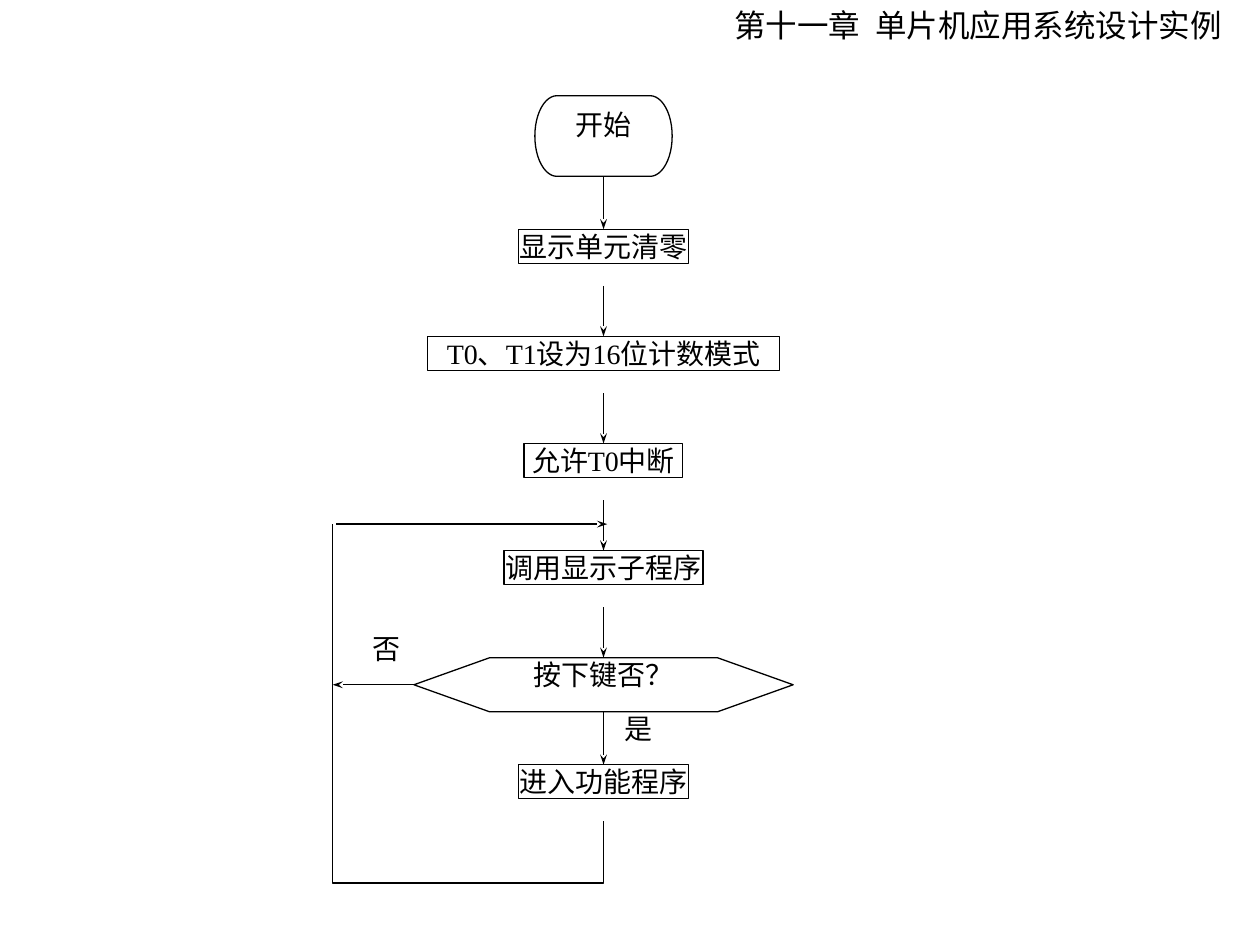
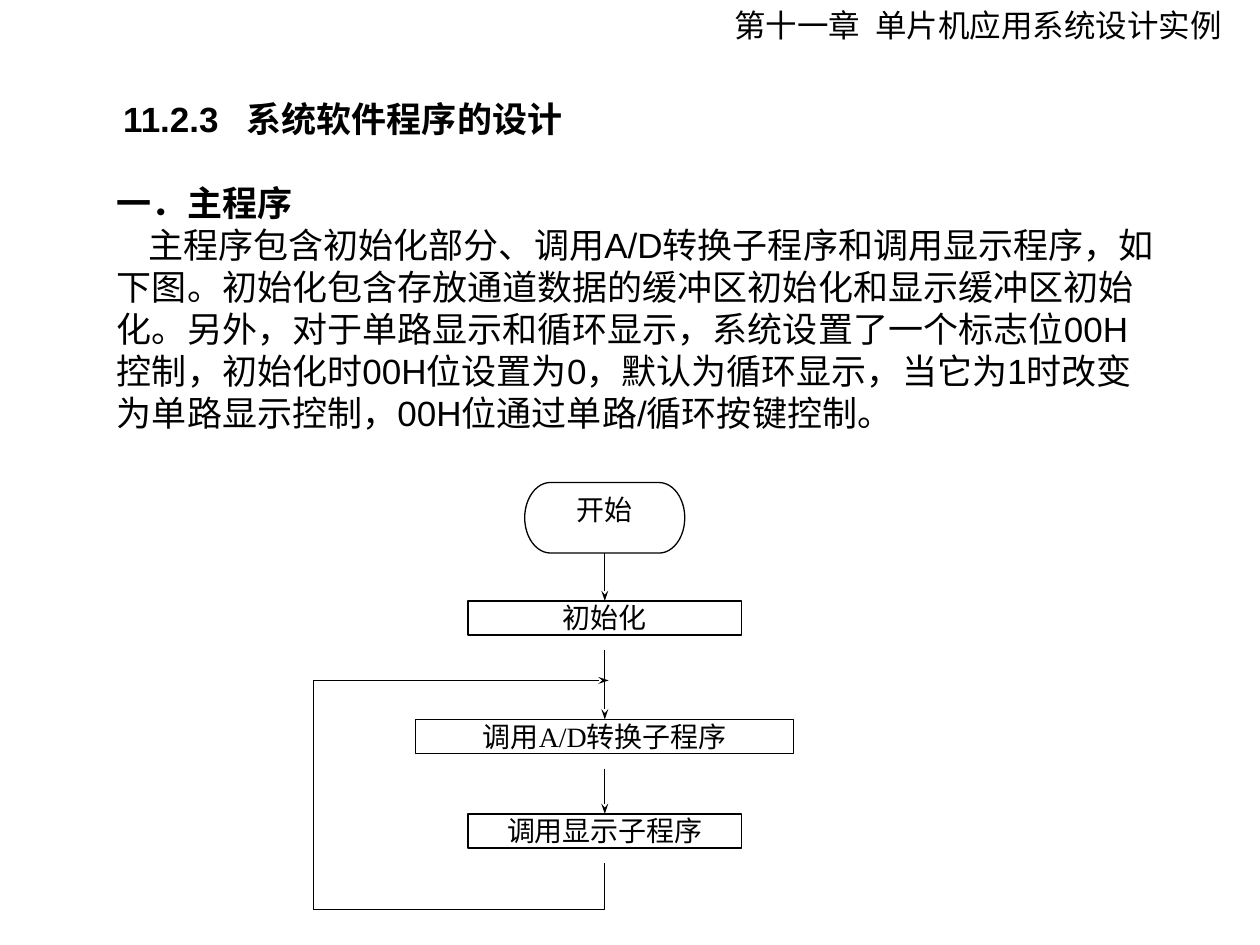
from dataclasses import dataclass
from itertools import pairwise
from typing import Optional

from lxml.etree import SubElement
from pptx import Presentation
from pptx.dml.color import RGBColor
from pptx.enum.shapes import MSO_CONNECTOR as Connector, MSO_SHAPE as Shape
from pptx.enum.text import MSO_ANCHOR as Anchor, MSO_AUTO_SIZE as AutoSize, PP_ALIGN as Align
from pptx.oxml.ns import qn
from pptx.util import Inches, Pt

BLACK = RGBColor(0, 0, 0)
WHITE = RGBColor(255, 255, 255)
CJK_FONT = "Noto Sans CJK JP"
FLOW_FONT = "Times New Roman"
BODY_FONT = "Arial"
LINE_WIDTH = Pt(0.75)
LINE_HEIGHT = 0.27
TOP, LEFT, BOTTOM = 0, 1, 2

Point = tuple[float, float]


@dataclass(frozen=True)
class Step:
    """A flowchart box; its outgoing line starts `exit` inches below its top."""
    text: str
    top: float
    width: float
    exit: float
    height: float = LINE_HEIGHT
    kind: Shape = Shape.FLOWCHART_PROCESS
    wrap: bool = True


@dataclass(frozen=True)
class TextBox:
    left: float
    top: float
    width: float
    height: float
    font: str
    size: int
    side_inset: float = 0.1
    top_inset: float = 0.05
    wrap: bool = True


HEADER = TextBox(5.73, 0, 4.1, 0.4, CJK_FONT, 18)
HEADING = TextBox(0.88, 0.61, 3.7, 0.71, BODY_FONT, 20, top_inset=0.19, wrap=False)
BODY = TextBox(0.83, 1.39, 8.43, 2.1, BODY_FONT, 20)


def add_span(para, text: str, font: str, size: int, bold: bool = False) -> None:
    span = para.add_run()
    span.text = text
    span.font.size = Pt(size)
    span.font.bold = bold
    span.font.color.rgb = BLACK
    span.font.name = font
    SubElement(span.font._element, qn("a:ea"), typeface=CJK_FONT)


def add_tab_stop(para, position: float) -> None:
    tabs = SubElement(para._p.get_or_add_pPr(), qn("a:tabLst"))
    SubElement(tabs, qn("a:tab"), pos=str(Inches(position)), algn="l")


def set_frame(frame, side: float, top: float, wrap: bool) -> None:
    frame.margin_left = frame.margin_right = Inches(side)
    frame.margin_top = frame.margin_bottom = Inches(top)
    frame.vertical_anchor = Anchor.TOP
    frame.word_wrap = wrap


def add_text(slide, box: TextBox, text: str, bold: bool = False,
             tab: Optional[float] = None):
    area = slide.shapes.add_textbox(Inches(box.left), Inches(box.top),
                                    Inches(box.width), Inches(box.height))
    frame = area.text_frame
    set_frame(frame, box.side_inset, box.top_inset, box.wrap)
    para = frame.paragraphs[0]
    if tab is not None:
        add_tab_stop(para, tab)
    add_span(para, text, box.font, box.size, bold)
    return frame


def add_label(slide, left: float, top: float, text: str) -> None:
    add_text(slide, TextBox(left, top, 0.22, LINE_HEIGHT, FLOW_FONT, 16, 0, 0, False), text)


def style_line(line, arrow: bool) -> None:
    line.line.color.rgb = BLACK
    line.line.width = LINE_WIDTH
    if arrow:
        SubElement(line.line._get_or_add_ln(), qn("a:tailEnd"), type="stealth", w="sm")
    SubElement(line._element.spPr, qn("a:effectLst"))


def add_line(slide, begin: Point, end: Point, arrow: bool = True,
             kind: Connector = Connector.STRAIGHT):
    line = slide.shapes.add_connector(kind, *(Inches(value) for value in (*begin, *end)))
    style_line(line, arrow)
    return line


def add_elbow(slide, begin: Point, end: Point, turn: int, preset: str,
              bend: Optional[float] = None) -> None:
    """Draw an elbow that leaves vertically: a connector turned by 90 or 270 degrees."""
    center_x, center_y = (begin[0] + end[0]) / 2, (begin[1] + end[1]) / 2
    sign = 1 if turn == 90 else -1
    across = sign * (begin[1] - center_y)
    down = -sign * (begin[0] - center_x)
    line = add_line(slide, (center_x + across, center_y + down),
                    (center_x - across, center_y - down), False, Connector.ELBOW)
    properties = line._element.spPr
    properties.find(qn("a:xfrm")).set("rot", str(turn * 60000))
    geometry = properties.find(qn("a:prstGeom"))
    geometry.set("prst", preset)
    if bend is not None:
        guides = geometry.find(qn("a:avLst"))
        if guides is None:
            guides = SubElement(geometry, qn("a:avLst"))
        SubElement(guides, qn("a:gd"), name="adj1", fmla=f"val {round(bend * 100000)}")


def add_step(slide, axis: float, step: Step):
    box = slide.shapes.add_shape(step.kind, Inches(axis - step.width / 2), Inches(step.top),
                                 Inches(step.width), Inches(step.height))
    box.shadow.inherit = False
    box.fill.solid()
    box.fill.fore_color.rgb = WHITE
    box.line.color.rgb = BLACK
    box.line.width = LINE_WIDTH
    set_frame(box.text_frame, 0, 0, step.wrap)
    if step.kind == Shape.FLOWCHART_PROCESS:
        box.text_frame.auto_size = AutoSize.SHAPE_TO_FIT_TEXT
    para = box.text_frame.paragraphs[0]
    para.alignment = Align.CENTER
    add_span(para, step.text, FLOW_FONT, 16)
    return box


def add_flow(slide, axis: float, steps: list[Step]) -> list:
    """Draw the steps centred on the axis, with an arrow from each to the next."""
    boxes = [add_step(slide, axis, step) for step in steps]
    for (step, box), (next_step, next_box) in pairwise(zip(steps, boxes)):
        arrow = add_line(slide, (axis, step.top + step.exit), (axis, next_step.top))
        if step.exit == step.height:
            arrow.begin_connect(box, BOTTOM)
        arrow.end_connect(next_box, TOP)
    return boxes


def add_page(deck):
    page = deck.slides.add_slide(deck.slide_layouts[6])
    add_text(page, HEADER, "第十一章\t单片机应用系统设计实例", tab=1.12)
    return page


def start_step(top: float, width: float, height: float) -> Step:
    return Step("开始", top, width, height, height, Shape.FLOWCHART_TERMINATOR)


def build_key_page(deck) -> None:
    page = add_page(deck)
    axis, loop_x, loop_y = 4.79, 2.64, 4.16
    first_top, pitch, exit_drop = 1.82, 0.85, 0.45
    tops = [first_top + pitch * row for row in range(6)]
    actions = [("显示单元清零", 1.35), ("T0、T1设为16位计数模式", 2.79),
               ("允许T0中断", 1.26), ("调用显示子程序", 1.58)]
    decision = Step("按下键否？", tops[4], 3.01, 0.43, 0.43, Shape.FLOWCHART_PREPARATION)
    steps = [start_step(0.76, 1.09, 0.64)]
    steps += [Step(text, top, width, exit_drop, wrap=False)
              for (text, width), top in zip(actions, tops)]
    steps += [decision, Step("进入功能程序", tops[5], 1.35, exit_drop, wrap=False)]
    boxes = add_flow(page, axis, steps)

    add_elbow(page, (axis, tops[5] + exit_drop), (loop_x, loop_y), 270,
              "bentConnector3", -0.207)
    decision_y = decision.top + decision.height / 2
    no_arrow = add_line(page, (axis - decision.width / 2, decision_y), (loop_x, decision_y))
    no_arrow.begin_connect(boxes[5], LEFT)
    add_line(page, (loop_x + 0.03, loop_y), (axis + 0.03, loop_y))
    add_label(page, 2.96, 5.01, "否")
    add_label(page, 4.96, 5.65, "是")


def build_main_program_page(deck) -> None:
    page = add_page(deck)
    add_text(page, HEADING, "11.2.3\t系统软件程序的设计", bold=True, tab=0.98)
    frame = add_text(page, BODY, "一．主程序", bold=True)
    para = frame.add_paragraph()
    para._p.get_or_add_pPr().set("indent", str(Inches(0.25)))
    add_span(para, "主程序包含初始化部分、调用A/D转换子程序和调用显示程序，如下图。"
             "初始化包含存放通道数据的缓冲区初始化和显示缓冲区初始化。"
             "另外，对于单路显示和循环显示，系统设置了一个标志位00H控制，"
             "初始化时00H位设置为0，默认为循环显示，当它为1时改变为单路显示控制，"
             "00H位通过单路/循环按键控制。", BODY.font, BODY.size)

    axis, loop_x, loop_y, floor_y, exit_drop = 4.8, 2.49, 5.4, 7.22, 0.39
    steps = [start_step(3.83, 1.27, 0.56),
             Step("初始化", 4.77, 2.17, exit_drop),
             Step("调用A/D转换子程序", 5.71, 3, exit_drop),
             Step("调用显示子程序", 6.46, 2.17, exit_drop)]
    add_flow(page, axis, steps)
    add_elbow(page, (axis, steps[-1].top + exit_drop), (loop_x, floor_y), 90, "bentConnector2")
    add_line(page, (loop_x, floor_y), (loop_x, loop_y), arrow=False)
    add_line(page, (loop_x, loop_y), (axis + 0.03, loop_y))


def main() -> None:
    deck = Presentation()
    deck.slide_width, deck.slide_height = Inches(10), Inches(7.5)
    build_key_page(deck)
    build_main_program_page(deck)
    deck.save("out.pptx")


if __name__ == "__main__":
    main()
